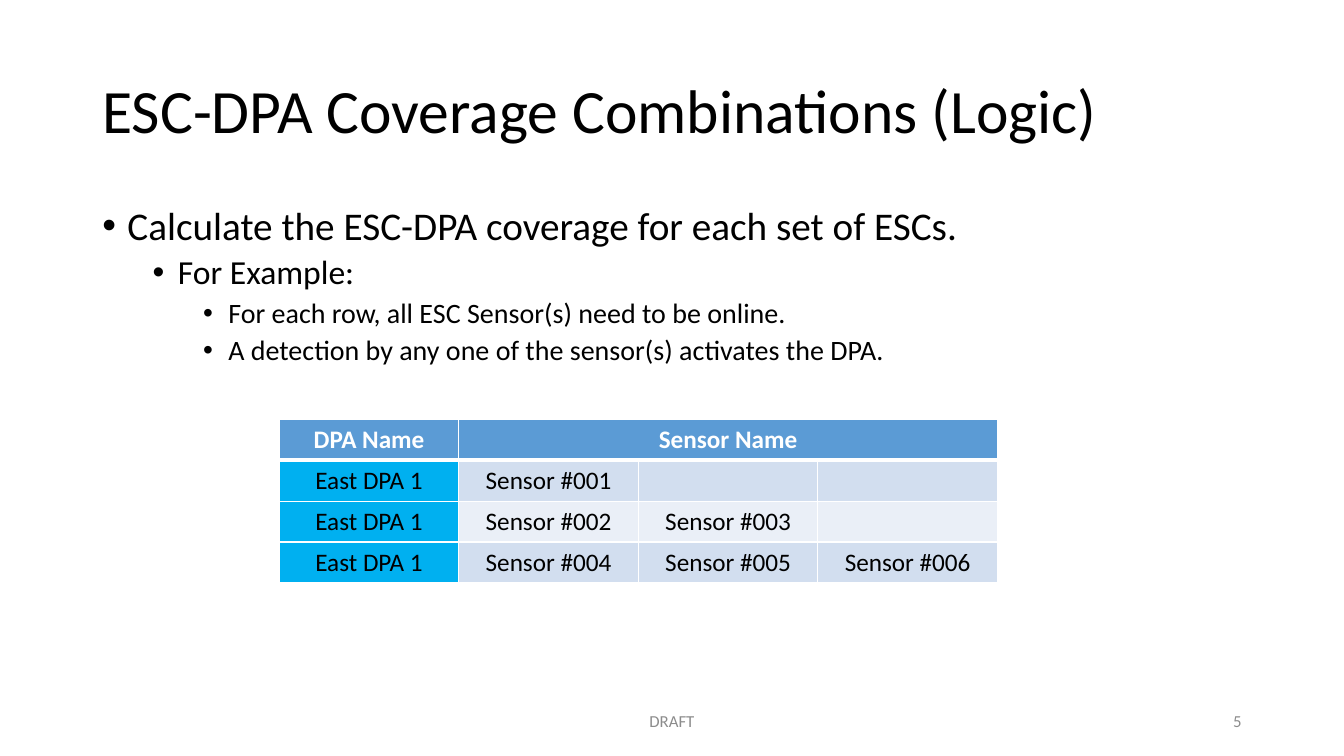
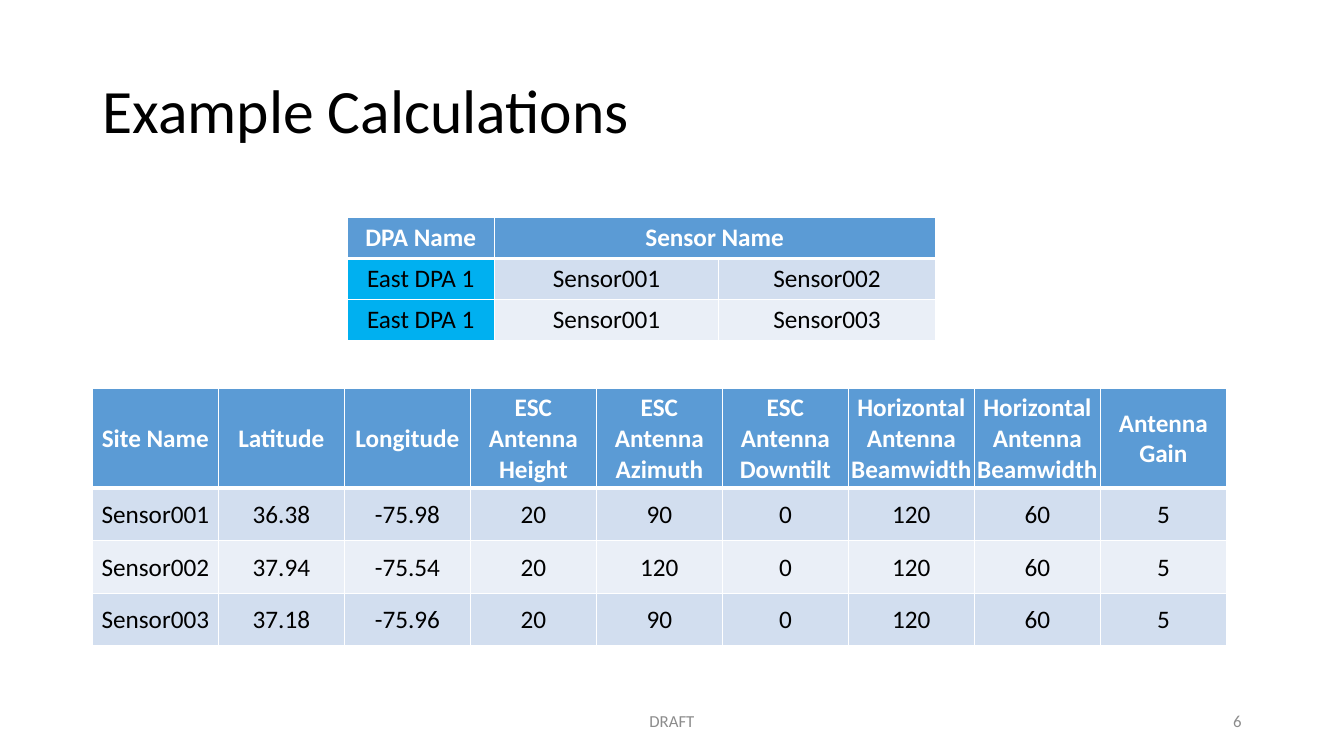
from lxml.etree import SubElement
from pptx import Presentation
from pptx.dml.color import RGBColor
from pptx.enum.text import MSO_ANCHOR as Anchor, PP_ALIGN as Align
from pptx.oxml.ns import qn
from pptx.util import Pt

rgb = RGBColor.from_string
FONT = "Calibri"
BLACK, WHITE, GREY = "000000", "FFFFFF", "8C8C8C"
HEADER, DPA = "5B9BD5", "00B0F0"
BANDS = ["D2DEEF", "EAEFF7"]


def write(paragraph, text, size, colour, bold=False):
    run = paragraph.add_run()
    run.text = text
    run.font.name = FONT
    run.font.size = Pt(size)
    run.font.bold = bold
    run.font.color.rgb = rgb(colour)


def draw_border(cell, side, width):
    line = SubElement(cell._tc.get_or_add_tcPr(), qn(f"a:ln{side}"), w=str(Pt(width)))
    fill = SubElement(line, qn("a:solidFill"))
    SubElement(fill, qn("a:srgbClr"), val=WHITE)


# Content: bullets as (level, text); a None cell continues the merged cell on its left
logic_bullets = [
    (0, "Calculate the ESC-DPA coverage for each set of ESCs."),
    (1, "For Example:"),
    (2, "For each row, all ESC Sensor(s) need to be online."),
    (2, "A detection by any one of the sensor(s) activates the DPA."),
]
combinations = dict(
    left=199.5, top=299.5, widths=[128.25] * 4, heights=[29.25] * 4, dpa_column=True,
    rows=[
        ["DPA Name", "Sensor Name", None, None],
        ["East DPA 1", "Sensor #001", "", ""],
        ["East DPA 1", "Sensor #002", "Sensor #003", ""],
        ["East DPA 1", "Sensor #004", "Sensor #005", "Sensor #006"],
    ])
sensor_pairs = dict(
    left=248, top=155.5, widths=[105, 160.5, 154.5], heights=[29.25] * 3, dpa_column=True,
    rows=[
        ["DPA Name", "Sensor Name", None],
        ["East DPA 1", "Sensor001", "Sensor002"],
        ["East DPA 1", "Sensor001", "Sensor003"],
    ])
sites = dict(
    left=66, top=277.5, widths=[90] * 9, heights=[71.25] + [37.5] * 3, dpa_column=False,
    rows=[
        ["Site Name", "Latitude", "Longitude", "ESC Antenna Height", "ESC Antenna Azimuth",
         "ESC Antenna Downtilt", "Horizontal Antenna Beamwidth",
         "Horizontal Antenna Beamwidth", "Antenna Gain"],
        ["Sensor001", "36.38", "-75.98", "20", "90", "0", "120", "60", "5"],
        ["Sensor002", "37.94", "-75.54", "20", "120", "0", "120", "60", "5"],
        ["Sensor003", "37.18", "-75.96", "20", "90", "0", "120", "60", "5"],
    ])
pages = [
    ("5", "ESC-DPA Coverage Combinations (Logic)", logic_bullets, [combinations]),
    ("6", "Example Calculations", [], [sensor_pairs, sites]),
]

prs = Presentation()
prs.slide_width, prs.slide_height = Pt(960), Pt(540)

for number, heading, bullets, grids in pages:
    slide = prs.slides.add_slide(prs.slide_layouts[5])

    # Title
    title = slide.shapes.title
    title.left, title.top, title.width, title.height = Pt(66), Pt(28.8), Pt(828), Pt(104.4)
    title.text_frame.vertical_anchor = Anchor.MIDDLE
    heading_line = title.text_frame.paragraphs[0]
    heading_line.alignment = Align.LEFT
    heading_line.line_spacing = 0.9
    write(heading_line, heading, 44, BLACK)

    # Bulleted body
    if bullets:
        body = slide.shapes.add_textbox(Pt(66), Pt(144), Pt(828), Pt(342.5)).text_frame
        body.word_wrap = True
        for i, (level, text) in enumerate(bullets):
            point = body.add_paragraph() if i else body.paragraphs[0]
            point.level = level
            point.line_spacing = 0.9
            point.space_before = Pt(5 if level else 10)
            props = point._p.get_or_add_pPr()
            props.set("marL", str(Pt(18 + 36 * level)))
            props.set("indent", str(-Pt(18)))
            SubElement(props, qn("a:buFont"), typeface="Arial")
            SubElement(props, qn("a:buChar"), char="•")
            write(point, text, 28 - 4 * level, BLACK)

    # Tables
    for grid in grids:
        rows, widths, heights = grid["rows"], grid["widths"], grid["heights"]
        table = slide.shapes.add_table(
            len(rows), len(widths), Pt(grid["left"]), Pt(grid["top"]),
            Pt(sum(widths)), Pt(sum(heights))).table
        table.horz_banding = False
        for column, width in zip(table.columns, widths):
            column.width = Pt(width)
        for r, row in enumerate(rows):
            table.rows[r].height = Pt(heights[r])
            for c, text in enumerate(row):
                cell = table.cell(r, c)
                for side in "LRTB":
                    heavy = (r, side) in [(0, "B"), (1, "T")]
                    draw_border(cell, side, 3 if heavy else 1)
                cell.fill.solid()
                if r == 0:
                    cell_colour = HEADER
                elif c == 0 and grid["dpa_column"]:
                    cell_colour = DPA
                else:
                    cell_colour = BANDS[(r - 1) % 2]
                cell.fill.fore_color.rgb = rgb(cell_colour)
                cell.vertical_anchor = Anchor.MIDDLE
                if not grid["dpa_column"]:
                    cell.margin_left = cell.margin_right = cell.margin_top = Pt(0.75)
                    cell.margin_bottom = 0
                if text:
                    entry = cell.text_frame.paragraphs[0]
                    entry.alignment = Align.CENTER
                    write(entry, text, 18, BLACK if r else WHITE, bold=r == 0)
        if None in rows[0]:
            table.cell(0, 1).merge(table.cell(0, len(widths) - 1))

    # Footer and page number
    for text, left, width, align in [("DRAFT", 318, 324, Align.CENTER),
                                     (number, 678, 216, Align.RIGHT)]:
        footer = slide.shapes.add_textbox(Pt(left), Pt(500.5), Pt(width), Pt(28.75)).text_frame
        footer.word_wrap = True
        footer.vertical_anchor = Anchor.MIDDLE
        footer.paragraphs[0].alignment = align
        write(footer.paragraphs[0], text, 12, GREY)

prs.save("out.pptx")
